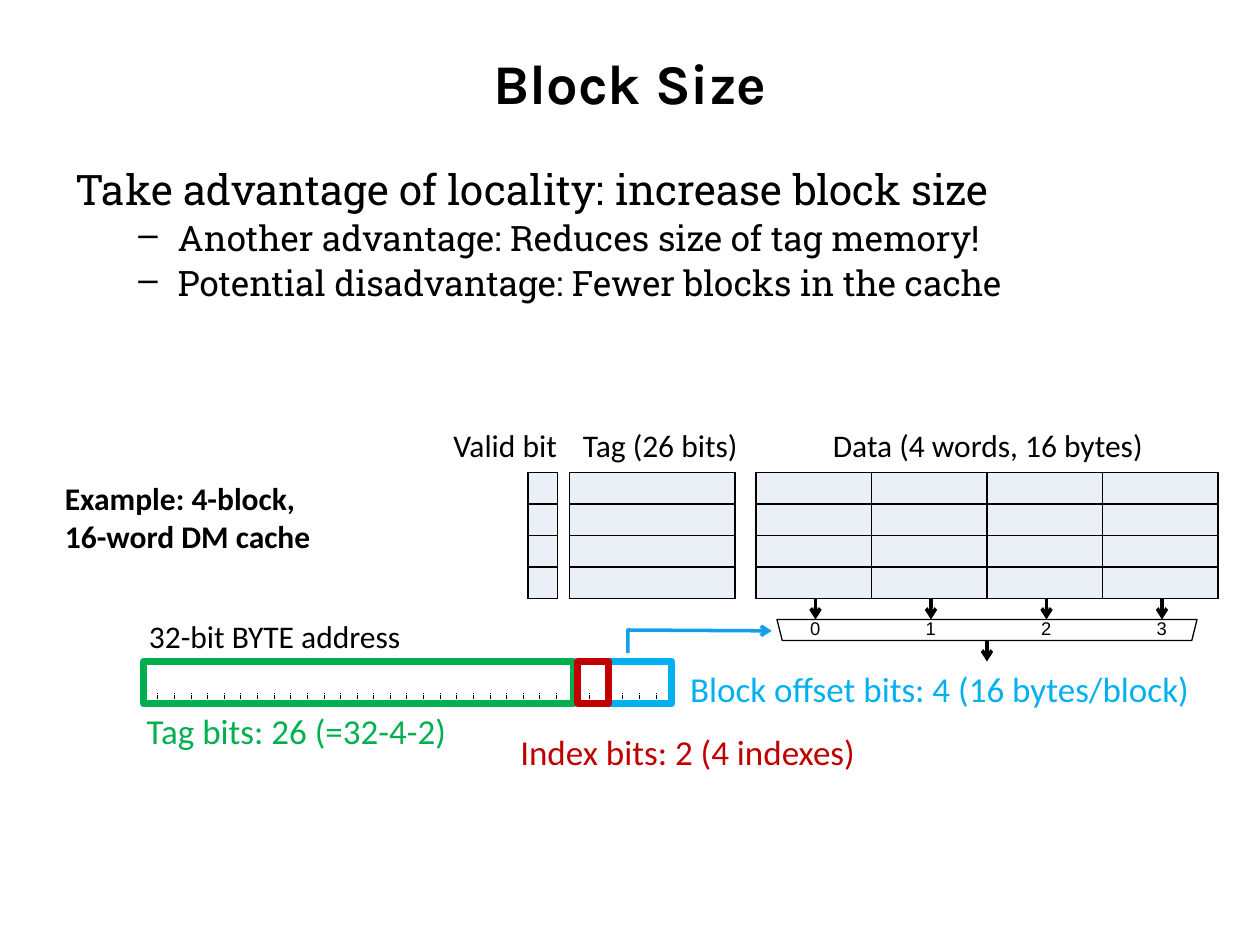
from lxml.etree import SubElement
from pptx import Presentation
from pptx.dml.color import RGBColor
from pptx.enum.dml import MSO_LINE_DASH_STYLE as Dash
from pptx.enum.shapes import MSO_CONNECTOR as Link, MSO_SHAPE as Preset
from pptx.enum.text import MSO_ANCHOR as Anchor, MSO_AUTO_SIZE as Fit, PP_ALIGN as Align
from pptx.oxml.ns import qn
from pptx.util import Pt

BLACK = RGBColor(0x00, 0x00, 0x00)
CELL_BLUE = RGBColor(0xEA, 0xF0, 0xF6)
GREEN = RGBColor(0x00, 0xB0, 0x50)
RED = RGBColor(0xC0, 0x00, 0x00)
CYAN = RGBColor(0x00, 0xB0, 0xF0)
ARROW_BLUE = RGBColor(0x14, 0x9F, 0xEB)

TITLE = "Block Size"
HEADLINE = "Take advantage of locality: increase block size"
POINTS = [
    "Another advantage: Reduces size of tag memory!",
    "Potential disadvantage: Fewer blocks in the cache",
]
LABELS = [
    ("Tag (26 bits)", (326, 240, 106, 29), False, Align.LEFT, {"size": Pt(18)}, BLACK),
    ("Valid bit", (252, 240, 76, 29), False, Align.LEFT, {"size": Pt(18)}, BLACK),
    ("Data (4 words, 16 bytes)", (451.5, 240, 226, 29), True, Align.CENTER, {"size": Pt(18)}, BLACK),
    ("Example: 4-block,\v16-word DM cache", (30, 270, 173, 51), False, Align.LEFT,
     {"size": Pt(18), "bold": True}, BLACK),
    ("Index bits: 2 (4 indexes)", (276, 414, 234, 32), True, Align.CENTER, {"size": Pt(20)}, RED),
    ("Tag bits: 26 (=32-4-2)", (75.5, 402, 188, 32), False, Align.CENTER, {"size": Pt(20)}, GREEN),
    ("Block offset bits: 4 (16 bytes/block)", (378, 378, 318, 32), True, Align.CENTER, {"size": Pt(20)}, CYAN),
    ("32-bit BYTE address", (78, 349, 165, 29), False, Align.LEFT, {"size": Pt(18)}, BLACK),
]
FIELDS = [
    (80.6, 303.7, BLACK, 1),
    (348, 36, CYAN, 4),
    (82, 246, GREEN, 4),
    (330, 18, RED, 4),
]
WORDS = ["0", "1", "2", "3"]

BLOCKS, ROW_HEIGHT, CACHE_TOP = 4, 18, 270
DATA_LEFT, WORD_WIDTH = 432, 66
CACHE_COLUMNS = [(301.7, 16.8), (325.5, 94.5)] + [
    (DATA_LEFT + i * WORD_WIDTH, WORD_WIDTH) for i in range(len(WORDS))
]
ADDRESS_LEFT, ADDRESS_TOP, ADDRESS_HEIGHT = 80.6, 378, 24
ADDRESS_BITS, BIT_WIDTH, TICK = 32, 9.49, 6
MUX_LEFT, MUX_TOP, MUX_WIDTH, MUX_HEIGHT = 444, 354, 240, 12


def set_font(font, color, **values):
    for key, value in values.items():
        setattr(font, key, value)
    font.color.rgb = color


def add_text(shapes, box, wrap=True):
    frame = shapes.add_textbox(*map(Pt, box)).text_frame
    frame.word_wrap = wrap
    return frame


def add_arrowhead(line):
    line._get_or_add_ln().append(
        line._ln.makeelement(qn("a:tailEnd"), {"type": "arrow"}))


def add_line(shapes, start, end, width, dash=None, arrow=False):
    link = shapes.add_connector(Link.STRAIGHT, *map(Pt, (*start, *end)))
    link.line.color.rgb = BLACK
    link.line.width = Pt(width)
    if dash:
        link.line.dash_style = dash
    if arrow:
        add_arrowhead(link.line)
    SubElement(link._element.spPr, qn("a:effectLst"))


def style_outline(shape, color, width):
    shape.shadow.inherit = False
    shape.fill.background()
    shape.line.color.rgb = color
    shape.line.width = Pt(width)


def style_cell(cell):
    for side in ("left", "right", "top", "bottom"):
        setattr(cell, f"margin_{side}", 0)
    SubElement(cell.text_frame.paragraphs[0]._p, qn("a:endParaRPr"), sz="800")
    properties = cell._tc.get_or_add_tcPr()
    for side in ("lnL", "lnR", "lnT", "lnB"):
        border = SubElement(properties, qn(f"a:{side}"), w=str(Pt(1)))
        fill = SubElement(border, qn("a:solidFill"))
        SubElement(fill, qn("a:srgbClr"), val=str(BLACK))
    cell.fill.solid()
    cell.fill.fore_color.rgb = CELL_BLUE


def add_heading(shapes):
    frame = add_text(shapes, (36, 21.6, 648, 50.4))
    frame.vertical_anchor = Anchor.MIDDLE
    title = frame.paragraphs[0]
    title.text = TITLE
    title.alignment = Align.CENTER
    set_font(title.runs[0].font, BLACK, name="Karla", size=Pt(32), bold=True)

    frame = add_text(shapes, (36, 90, 648, 228))
    headline = frame.paragraphs[0]
    headline.text = HEADLINE
    set_font(headline.runs[0].font, BLACK, name="Roboto Slab", size=Pt(24))
    for text in POINTS:
        point = frame.add_paragraph()
        point.text = text
        point.level = 1
        point.space_before = Pt(1.6)
        properties = point._p.get_or_add_pPr()
        properties.set("marL", str(Pt(58.5)))
        properties.set("indent", str(Pt(-22.5)))
        SubElement(properties, qn("a:buChar"), char="–")
        set_font(point.runs[0].font, BLACK, name="Roboto Slab", size=Pt(20))


def add_cache(shapes):
    for left, width in CACHE_COLUMNS:
        table = shapes.add_table(BLOCKS, 1, Pt(left), Pt(CACHE_TOP), Pt(width),
                                 Pt(BLOCKS * ROW_HEIGHT)).table
        for cell in table.iter_cells():
            style_cell(cell)


def add_address(shapes):
    bottom = ADDRESS_TOP + ADDRESS_HEIGHT
    for bit in range(1, ADDRESS_BITS):
        x = ADDRESS_LEFT + bit * BIT_WIDTH
        add_line(shapes, (x, bottom), (x, bottom - TICK), 0.25, Dash.LONG_DASH)
    for left, width, color, weight in FIELDS:
        field = shapes.add_shape(Preset.RECTANGLE, Pt(left), Pt(ADDRESS_TOP), Pt(width), Pt(ADDRESS_HEIGHT))
        style_outline(field, color, weight)


def add_labels(shapes):
    for text, box, wrap, align, values, color in LABELS:
        frame = add_text(shapes, box, wrap)
        frame.auto_size = Fit.SHAPE_TO_FIT_TEXT
        label = frame.paragraphs[0]
        label.text = text
        label.alignment = align
        for run in label.runs:
            set_font(run.font, color, name="Calibri", **values)


def add_mux(shapes):
    mux = shapes.add_shape(Preset.TRAPEZOID, Pt(MUX_LEFT), Pt(MUX_TOP), Pt(MUX_WIDTH), Pt(MUX_HEIGHT))
    mux.rotation = 180
    style_outline(mux, BLACK, 0.75)
    for i in range(len(WORDS)):
        x = DATA_LEFT + (i + 0.5) * WORD_WIDTH + 1
        add_line(shapes, (x, CACHE_TOP + BLOCKS * ROW_HEIGHT), (x, MUX_TOP), 2, arrow=True)
    center, bottom = MUX_LEFT + MUX_WIDTH / 2, MUX_TOP + MUX_HEIGHT
    add_line(shapes, (center, bottom), (center, bottom + 12), 2, arrow=True)

    builder = shapes.build_freeform(Pt(358.8), Pt(373), scale=1.0)
    builder.add_line_segments([(Pt(358.8), Pt(360)), (Pt(441), Pt(360.5))], close=False)
    select = builder.convert_to_shape()
    style_outline(select, ARROW_BLUE, 2)
    add_arrowhead(select.line)

    digits = add_text(shapes, (455.8, 349.2, 221, 20)).paragraphs[0]
    digits.text = "\t".join(WORDS)
    tabs = SubElement(digits._p.get_or_add_pPr(), qn("a:tabLst"))
    for i in range(1, len(WORDS)):
        SubElement(tabs, qn("a:tab"), pos=str(Pt(i * WORD_WIDTH)), algn="l")
    for run in digits.runs:
        set_font(run.font, BLACK, name="Arial", size=Pt(10.5))


def main():
    deck = Presentation()
    deck.slide_width, deck.slide_height = Pt(720), Pt(540)
    shapes = deck.slides.add_slide(deck.slide_layouts[6]).shapes
    for add_part in (add_heading, add_cache, add_address, add_labels, add_mux):
        add_part(shapes)
    deck.save("out.pptx")


if __name__ == "__main__":
    main()
